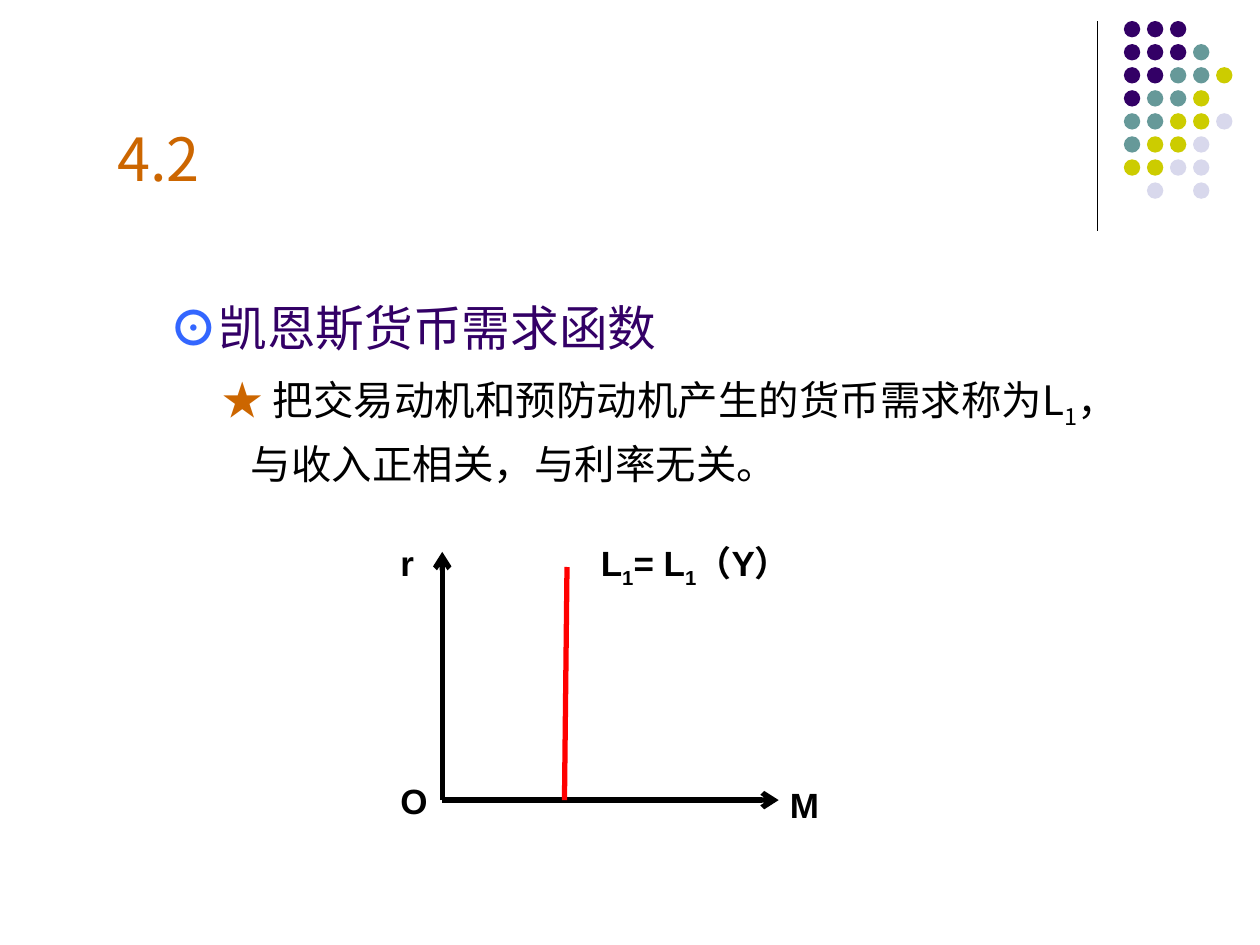
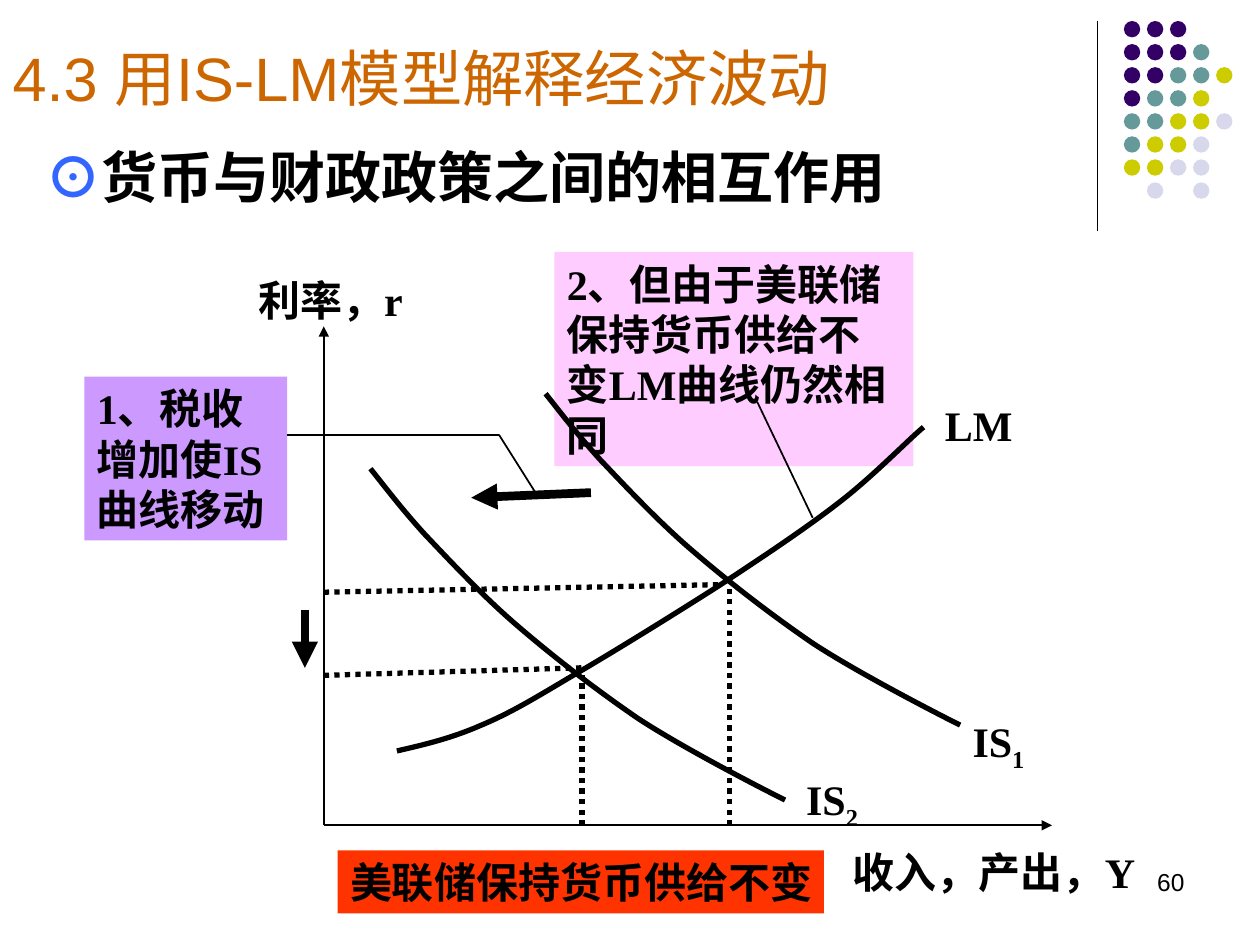
from lxml.etree import SubElement
from pptx import Presentation
from pptx.dml.color import RGBColor
from pptx.enum.dml import MSO_LINE
from pptx.enum.shapes import MSO_CONNECTOR, MSO_SHAPE
from pptx.enum.text import MSO_ANCHOR, MSO_AUTO_SIZE, PP_ALIGN
from pptx.oxml.ns import qn
from pptx.util import Inches, Pt

COLS, ROWS = 100, 75
INK, PURPLE, ORANGE, BLUE = "000000", "330066", "CC6600", "3366FF"
DOT_COLORS = {"P": PURPLE, "T": "669999", "Y": "CCCC00", "L": "D8D8EC"}
DOT_ROWS = ["PPP", "PPPT", "PPTTY", "PTTY", "TTYYL", "TYYL", "YYLL", " L L"]
SANS, CJK, SERIF = "Arial", "Noto Sans CJK SC", "Times New Roman"
IS_CURVE = [(29.4, 37.2), (30.6, 38.7), (31.8, 40.3), (33.7, 42.4),
            (35.7, 44.5), (38.3, 47.3), (41.1, 49.7),
            (43.9, 52.1), (47.1, 54.6), (50.6, 57),
            (54.1, 59.3), (60.3, 62.5), (62.3, 63.5)]
LM_CURVE = [(31.5, 59.6), (33.7, 59.1), (35.8, 58.6), (38.1, 57.6),
            (40.5, 56.6), (42.3, 55.5), (45.5, 53.6),
            (48.6, 51.8), (53.6, 48.7), (57.2, 46.4),
            (60.7, 44.1), (64, 41.9), (66.7, 39.8),
            (69.4, 37.7), (72.2, 34.8), (73.3, 33.9)]


def rgb(value):
    """Turn a hex string into a colour."""
    return RGBColor.from_string(value)


class Deck:
    """Hold the style and the current slide, measured in grid columns and rows."""

    def __init__(self, prs):
        """Take the presentation and work out the grid cell."""
        self.prs = prs
        self.col = prs.slide_width / COLS
        self.row = prs.slide_height / ROWS

    def grid(self, *values):
        """Convert alternating columns and rows to slide lengths."""
        return [round(v * (self.row if i % 2 else self.col)) for i, v in enumerate(values)]

    def slide(self):
        """Start a title-only slide; the first one also sets up the master."""
        self.s = self.prs.slides.add_slide(self.prs.slide_layouts[5])
        self.shapes = self.s.shapes
        if len(self.prs.slides) == 1:
            self.master_art()

    def group(self):
        """Collect the next elements in a group."""
        self.shapes = self.s.shapes.add_group_shape().shapes

    def ungroup(self):
        """Put the next elements straight on the slide."""
        self.shapes = self.s.shapes

    def master_art(self):
        """Draw the rule and the dots and move them to the slide master."""
        self.line((87.1, 1.7), (87.1, 18.3), 0.75)
        self.group()
        for r, marks in enumerate(DOT_ROWS):
            for c, mark in enumerate(marks):
                if mark in DOT_COLORS:
                    self.shape((89.2 + 1.83 * c, 1.67 + 1.83 * r, 1.3, 1.3),
                               DOT_COLORS[mark], MSO_SHAPE.OVAL)
        self.ungroup()
        tree = self.prs.slide_master.shapes.element
        for sp in list(self.shapes):
            if not sp.is_placeholder:
                tree.append(sp.element)
        for n, props in enumerate(tree.iter(qn("p:cNvPr")), 1):
            props.set("id", str(n))

    def shape(self, box, fill, kind=MSO_SHAPE.RECTANGLE):
        """Draw a filled shape without outline."""
        sp = self.shapes.add_shape(kind, *self.grid(*box))
        sp.shadow.inherit = False
        sp.fill.solid()
        sp.fill.fore_color.rgb = rgb(fill)
        sp.line.fill.background()
        return sp

    def line(self, start, end, width, color=INK, tip=None, dotted=False):
        """Draw a straight connector, with an optional tip at its end."""
        sp = self.shapes.add_connector(MSO_CONNECTOR.STRAIGHT, *self.grid(*start, *end))
        sp.line.color.rgb = rgb(color)
        sp.line.width = Pt(width)
        if dotted:
            sp.line.dash_style = MSO_LINE.ROUND_DOT
        if tip:
            SubElement(sp.line._get_or_add_ln(), qn("a:tailEnd"), type=tip)
        SubElement(sp.element.spPr, qn("a:effectLst"))

    def curve(self, points, dx=0, dy=0):
        """Draw an open chain of cubic curves, shifted by dx and dy."""
        first, *rest = [self.grid(x + dx, y + dy) for x, y in points]
        builder = self.shapes.build_freeform(*first)
        builder.add_line_segments(rest, close=False)
        sp = builder.convert_to_shape()
        sp.shadow.inherit = False
        sp.fill.background()
        sp.line.color.rgb = rgb(INK)
        sp.line.width = Pt(3)
        outline = next(sp.element.iter(qn("a:path")))
        steps = outline.findall(qn("a:lnTo"))
        for i in range(0, len(steps), 3):
            bend = SubElement(outline, qn("a:cubicBezTo"))
            for step in steps[i:i + 3]:
                bend.append(step[0])
                outline.remove(step)

    def run(self, p, text, size, font=SANS, color=INK, bold=False, sub=False):
        """Add one formatted run to a paragraph."""
        r = p.add_run()
        r.text = text
        r.font.size, r.font.name, r.font.bold = Pt(size), font, bold
        r.font.color.rgb = rgb(color)
        rpr = r.font._element
        SubElement(rpr, qn("a:ea"), typeface=CJK)
        if sub:
            rpr.set("baseline", "-25000")

    def frame(self, sp, wrap=True, anchor=MSO_ANCHOR.TOP):
        """Prepare a text frame and return its first paragraph."""
        tf = sp.text_frame
        tf.word_wrap, tf.vertical_anchor = wrap, anchor
        tf.auto_size = MSO_AUTO_SIZE.NONE
        p = tf.paragraphs[0]
        p.alignment = PP_ALIGN.LEFT
        return p

    def title(self, box, text, size, font):
        """Place and fill the title placeholder."""
        sp = self.s.shapes.title
        sp.left, sp.top, sp.width, sp.height = self.grid(*box)
        p = self.frame(sp, anchor=MSO_ANCHOR.MIDDLE)
        self.run(p, text, size, font, ORANGE)

    def text(self, box, wrap=True):
        """Add a text box and return its first paragraph and frame."""
        sp = self.shapes.add_textbox(*self.grid(*box))
        return self.frame(sp, wrap), sp.text_frame

    def label(self, box, parts, size=24, font=SERIF):
        """Add a bold label whose every second part is a subscript."""
        p, _ = self.text(box)
        for i, part in enumerate(parts):
            self.run(p, part, size, font, bold=True, sub=i % 2 == 1)

    def note(self, box, text, fill, font=SERIF, wrap=True):
        """Add a filled box with bold text."""
        p = self.frame(self.shape(box, fill), wrap)
        self.run(p, text, 24, font, bold=True)


def money_demand(d):
    """Build the slide on the Keynesian money demand function."""
    d.slide()
    d.title((8.3, 9.2, 80, 6.7), "4.2", 34, CJK)
    p, tf = d.text((12.5, 23.7, 80.1, 17.9))
    p.line_spacing = 0.9
    d.run(p, "⊙", 27.8, CJK, BLUE, bold=True)
    d.run(p, "凯恩斯货币需求函数", 27.8, color=PURPLE)
    points = [(0.42, [("★ ", ORANGE, True, False),
                      ("把交易动机和预防动机产生的货币需求称为L", INK, False, False),
                      ("1", INK, False, True), ("，", INK, False, False)]),
              (0.64, [("与收入正相关，与利率无关。", INK, False, False)])]
    for indent, runs in points:
        p = tf.add_paragraph()
        p.line_spacing, p.space_before = 0.9, Pt(10.6)
        p._p.get_or_add_pPr().set("marL", str(Inches(indent)))
        for text, color, bold, sub in runs:
            d.run(p, text, 23.1, CJK, color, bold, sub)

    d.group()
    origin = (35.1, 63.5)
    d.line(origin, (35.1, 43.8), 3, tip="arrow")
    d.line(origin, (61.8, 63.5), 3, tip="arrow")
    d.line((45, 45), (44.8, 63.5), 3, "FF0000")
    for box, parts in [((30.8, 61.4, 5, 5), ["O"]),
                       ((30.8, 42.5, 2.8, 4.4), ["r"]),
                       ((61.7, 61.7, 7.3, 4.4), ["M"]),
                       ((46.7, 42.5, 17.7, 8.2), ["L", "1", "= L", "1", "（Y）"])]:
        d.label(box, parts, 20, SANS)


def policy_interaction(d):
    """Build the IS-LM slide on monetary and fiscal policy."""
    d.slide()
    d.title((0, 1.7, 90, 8.8), "4.3 用IS-LM模型解释经济波动", 35, SANS)
    p, _ = d.text((2.6, 10.8, 68.7, 6.4), wrap=False)
    d.run(p, "⊙", 32, CJK, BLUE, bold=True)
    d.run(p, "货币与财政政策之间的相互作用", 32, CJK, bold=True)

    d.group()
    d.note((44, 20, 28.5, 17), "2、但由于美联储保持货币供给不变LM曲线仍然相同", "FFCCFF")
    d.note((6.7, 29.9, 16.1, 13), "1、税收增加使IS曲线移动", "CC99FF")
    d.note((26.8, 67.5, 38.6, 5), "美联储保持货币供给不变", "FF3300", CJK, wrap=False)

    axis_x, axis_y = 25.7, 65.5
    for end in [(axis_x, 25.9), (83.5, axis_y)]:
        d.line((axis_x, axis_y), end, 1, tip="triangle")
    for x, top, left_y, right in [(46.2, 53.6, 53.6, (46.2, 53)),
                                  (57.9, 46.4, 47, (57.2, 46.4))]:
        d.line((x, axis_y), (x, top), 3, dotted=True)
        d.line((axis_x, left_y), right, 3, dotted=True)
    for start, end in [((46.9, 39.1), (37.4, 39.5)), ((24.2, 48.4), (24.2, 53))]:
        d.line(start, end, 5, tip="triangle")
    for start, end in [((64.5, 41.1), (60.1, 31.9)),
                       ((22.8, 34.5), (39.6, 34.5)), ((39.6, 34.5), (42.5, 39.1))]:
        d.line(start, end, 1)
    d.curve(IS_CURVE)
    d.curve(IS_CURVE, 13.9, -5.95)
    d.curve(LM_CURVE)

    for box, parts in [((19.5, 21.3, 15.4, 5), ["利率，r"]),
                       ((66.7, 66.7, 27.8, 5), ["收入，产出，Y"]),
                       ((76.2, 56.3, 8.1, 5.6), ["IS", "1"]),
                       ((63, 60.9, 7.7, 5.6), ["IS", "2"]),
                       ((74, 31.2, 9.5, 5), ["LM"])]:
        d.label(box, parts)

    d.ungroup()
    p, _ = d.text((71.7, 68.3, 23.3, 5.2))
    p.alignment = PP_ALIGN.RIGHT
    d.run(p, "60", 14)


def main():
    """Build both slides and save the file."""
    prs = Presentation()
    prs.slide_width, prs.slide_height = Inches(10), Inches(7.5)
    d = Deck(prs)
    money_demand(d)
    policy_interaction(d)
    prs.save("out.pptx")


if __name__ == "__main__":
    main()
